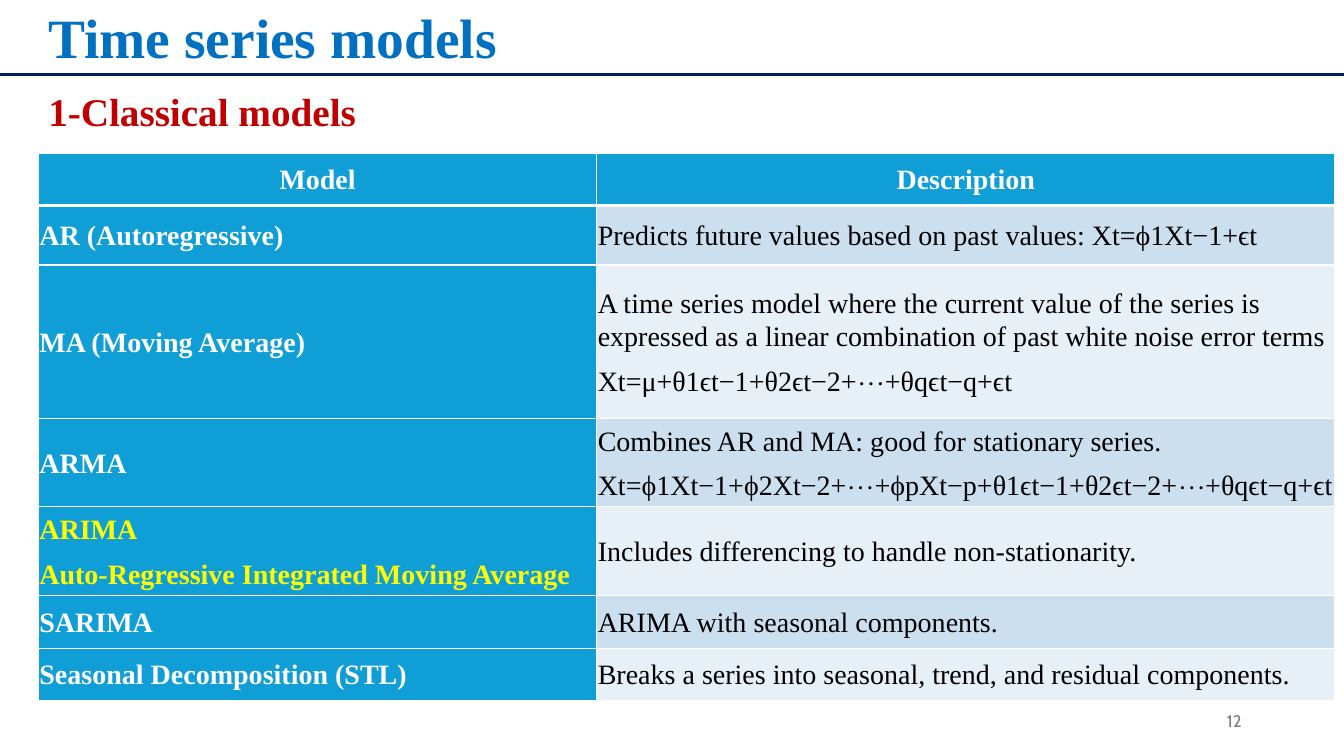
from lxml.etree import SubElement
from pptx import Presentation
from pptx.dml.color import RGBColor
from pptx.enum.shapes import MSO_CONNECTOR
from pptx.enum.text import MSO_ANCHOR, MSO_AUTO_SIZE, PP_ALIGN
from pptx.oxml.ns import qn
from pptx.util import Pt

WHITE = RGBColor(0xFF, 0xFF, 0xFF)
BLACK = RGBColor(0x00, 0x00, 0x00)
BLUE = RGBColor(0x00, 0x70, 0xC0)
NAVY = RGBColor(0x00, 0x20, 0x60)
RED = RGBColor(0xC0, 0x00, 0x00)
YELLOW = RGBColor(0xFF, 0xFF, 0x00)
GREY = RGBColor(0x79, 0x79, 0x79)
CYAN = RGBColor(0x0F, 0x9E, 0xD5)
BANDS = RGBColor(0xCC, 0xDF, 0xEF), RGBColor(0xE7, 0xF0, 0xF7)

SLIDE_W, SLIDE_H = 960, 540
COLUMNS = [398.9, 527.3]
ROWS = [37.4, 42.5, 109.6, 63.2, 63.5, 37.4, 37.4]
HEADER = ["Model", "Description"]
MODELS = [
    (["AR (Autoregressive)"],
     ["Predicts future values based on past values: Xt=ϕ1Xt−1+ϵt"]),
    (["MA (Moving Average)"],
     ["A time series model where the current value of the series is "
      "expressed as a linear combination of past white noise error terms",
      "Xt=μ+θ1ϵt−1+θ2ϵt−2+⋯+θqϵt−q+ϵt"]),
    (["ARMA"],
     ["Combines AR and MA: good for stationary series.",
      "Xt=ϕ1Xt−1+ϕ2Xt−2+⋯+ϕpXt−p+θ1ϵt−1+θ2ϵt−2+⋯+θqϵt−q+ϵt"]),
    (["ARIMA", "Auto-Regressive Integrated Moving Average"],
     ["Includes differencing to handle non-stationarity."]),
    (["SARIMA"], ["ARIMA with seasonal components."]),
    (["Seasonal Decomposition (STL)"],
     ["Breaks a series into seasonal, trend, and residual components."]),
]
HIGHLIGHTED = "ARIMA"


def set_all(target, values):
    for name, value in values.items():
        setattr(target, name, value)


class SlideBuilder:
    """Holds the shared style and the current slide."""

    font = "Times New Roman"
    cell_para = {"line_spacing": 1.07, "space_after": Pt(8)}
    cell_frame = {"vertical_anchor": MSO_ANCHOR.MIDDLE,
                  **{f"margin_{side}": Pt(0.7)
                     for side in ("left", "right", "top", "bottom")}}

    def __init__(self, prs):
        self.slide = prs.slides.add_slide(prs.slide_layouts[5])

    def paragraphs(self, tf, lines, size, color, bold=True, font=None, **para):
        for i, line in enumerate(lines):
            p = tf.paragraphs[0] if i == 0 else tf.add_paragraph()
            set_all(p, {"alignment": PP_ALIGN.LEFT, "space_before": Pt(0), **para})
            r = p.add_run()
            r.text = line
            set_all(r.font, {"name": font or self.font, "size": Pt(size), "bold": bold})
            r.font.color.rgb = color

    def place(self, sp, box, text, size, color, anchor=MSO_ANCHOR.MIDDLE, **style):
        set_all(sp, dict(zip(("left", "top", "width", "height"), map(Pt, box))))
        set_all(sp.text_frame, {"word_wrap": True, "auto_size": MSO_AUTO_SIZE.NONE,
                                "vertical_anchor": anchor})
        self.paragraphs(sp.text_frame, [text], size, color, **style)

    def title(self, box, text, size, color):
        self.place(self.slide.shapes.title, box, text, size, color, line_spacing=0.9)

    def text(self, box, text, size, color, **style):
        sp = self.slide.shapes.add_textbox(*map(Pt, box))
        self.place(sp, box, text, size, color, **style)

    def rule(self, y, width, color):
        line = self.slide.shapes.add_connector(
            MSO_CONNECTOR.STRAIGHT, Pt(0), Pt(y), Pt(SLIDE_W), Pt(y))
        line.line.width = Pt(width)
        line.line.color.rgb = color
        SubElement(line._element.spPr, qn("a:effectLst"))

    def borders(self, cell, top, bottom):
        tc_pr = cell._tc.get_or_add_tcPr()
        for tag, width in (("lnL", 1), ("lnR", 1), ("lnT", top), ("lnB", bottom)):
            ln = SubElement(tc_pr, qn(f"a:{tag}"), w=str(Pt(width)))
            fill = SubElement(ln, qn("a:solidFill"))
            SubElement(fill, qn("a:srgbClr"), val=str(WHITE))

    def cell(self, cell, lines, fill, color, bold, top=1, bottom=1,
             alignment=PP_ALIGN.LEFT):
        set_all(cell, self.cell_frame)
        self.borders(cell, top, bottom)
        cell.fill.solid()
        cell.fill.fore_color.rgb = fill
        self.paragraphs(cell.text_frame, lines, 20, color, bold,
                        alignment=alignment, **self.cell_para)

    def table(self, left, top, header, models):
        table = self.slide.shapes.add_table(
            len(ROWS), len(COLUMNS), Pt(left), Pt(top),
            Pt(sum(COLUMNS)), Pt(sum(ROWS))).table
        for column, width in zip(table.columns, COLUMNS):
            column.width = Pt(width)
        for row, height in zip(table.rows, ROWS):
            row.height = Pt(height)
        for c, label in enumerate(header):
            self.cell(table.cell(0, c), [label], CYAN, WHITE, True,
                      bottom=3, alignment=PP_ALIGN.CENTER)
        for r, (name, description) in enumerate(models, 1):
            edge = 3 if r == 1 else 1
            name_color = YELLOW if name[0] == HIGHLIGHTED else WHITE
            self.cell(table.cell(r, 0), name, CYAN, name_color, True, top=edge)
            self.cell(table.cell(r, 1), description, BANDS[(r - 1) % 2],
                      BLACK, False, top=edge)


def main():
    prs = Presentation()
    prs.slide_width, prs.slide_height = Pt(SLIDE_W), Pt(SLIDE_H)
    s = SlideBuilder(prs)

    # Heading
    s.title((27.4, 4.3, 828, 49.7), "Time series models", 39.6, BLUE)
    s.text((27.4, 62.6, 828, 40), "1-Classical models", 28, RED,
           anchor=MSO_ANCHOR.TOP, line_spacing=0.9)

    # Table of models
    s.table(27.4, 109.4, HEADER, MODELS)

    # Slide number and rule under the title
    s.text((678, 500.4, 216, 28.8), "12", 12, GREY, bold=False, font="Cabin",
           alignment=PP_ALIGN.RIGHT)
    s.rule(53.5, 2.25, NAVY)

    prs.save("out.pptx")


if __name__ == "__main__":
    main()
